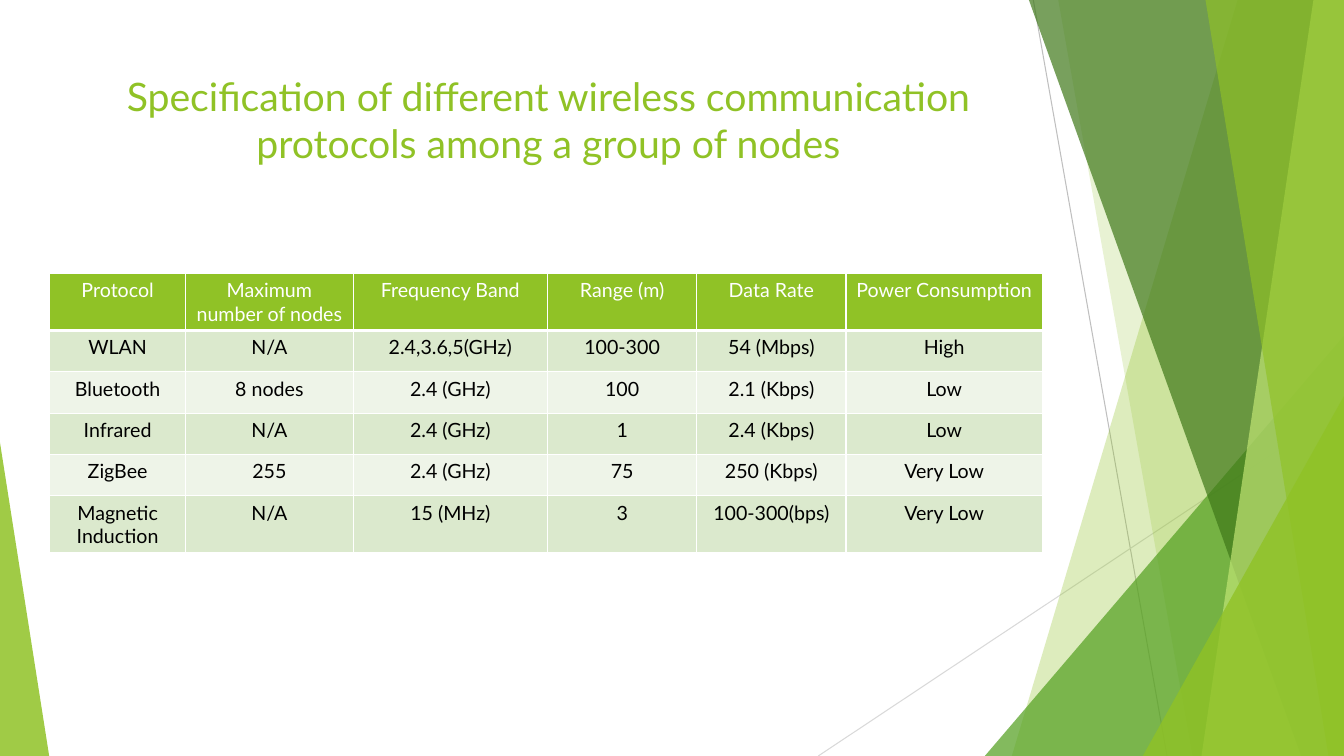
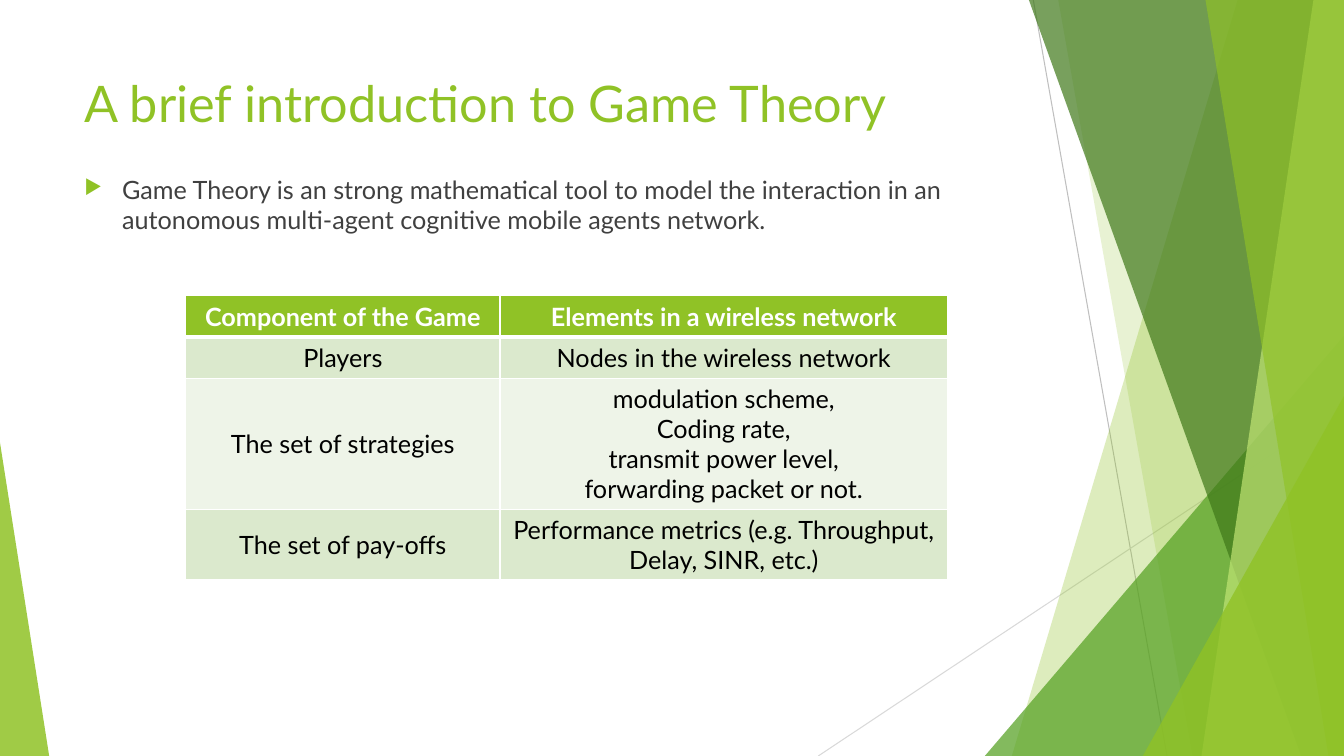
from lxml import etree
from pptx import Presentation
from pptx import util as u
from pptx.dml.color import RGBColor
from pptx.enum import shapes, text
from pptx.oxml.ns import qn

WIDE, HIGH = 33.87, 19.05
LIME, WHITE, BLACK, GREY = "90C226", "FFFFFF", "000000", "404040"
BANDS = ["DBE9CD", "EEF4E8"]
LEFT, CENTER = text.PP_ALIGN.LEFT, text.PP_ALIGN.CENTER
TOP, MIDDLE = text.MSO_ANCHOR.TOP, text.MSO_ANCHOR.MIDDLE


def rgb(code):
    return RGBColor.from_string(code)


def node(parent, tag, **attrs):
    return etree.SubElement(parent, qn(tag), attrs)


class Deck:
    """Holds the style and the current slide."""

    font = "Lato"

    def __init__(self):
        self.prs = Presentation()
        self.prs.slide_width, self.prs.slide_height = u.Cm(WIDE), u.Cm(HIGH)
        self.slide = None

    def page(self):
        self.slide = self.prs.slides.add_slide(self.prs.slide_layouts[6])
        self.line(26.04, 0, 29.41, HIGH, "BFBFBF")
        self.line(WIDE, 10.24, 20.62, HIGH, "D9D9D9")
        self.blade(31.19, 25.5, LIME, 30)
        self.blade(26.67, 30.05, LIME, 20)
        self.wedge(24.82, 8.46, 9.05, 1, "54A021", 72)
        self.blade(25.93, 32.79, "3F7819", 70)
        self.blade(33.1, 30.28, "C0E474", 70)
        self.blade(30.38, 33.48, LIME, 65)
        self.wedge(28.8, 9.98, 5.07, 1, LIME, 80)
        self.wedge(0, 11.15, 1.24, 0, LIME, 85)

    def line(self, x1, y1, x2, y2, color):
        line = self.slide.shapes.add_connector(
            shapes.MSO_CONNECTOR.STRAIGHT, u.Cm(x1), u.Cm(y1), u.Cm(x2), u.Cm(y2))
        line.line.color.rgb = rgb(color)
        line.line.width = u.Pt(0.75)
        node(line.element.spPr, "a:effectLst")

    def paint(self, shape, color, alpha):
        shape.shadow.inherit = False
        shape.fill.solid()
        shape.fill.fore_color.rgb = rgb(color)
        tint = shape.element.spPr.find(".//" + qn("a:srgbClr"))
        node(tint, "a:alpha", val=str(alpha * 1000))
        shape.line.fill.background()

    def blade(self, top, foot, color, alpha):
        pen = self.slide.shapes.build_freeform(u.Cm(top), 0)
        pen.add_line_segments(
            [(u.Cm(x), u.Cm(y)) for x, y in [(WIDE, 0), (WIDE, HIGH), (foot, HIGH)]])
        self.paint(pen.convert_to_shape(), color, alpha)

    def wedge(self, left, top, width, peak, color, alpha):
        shape = self.slide.shapes.add_shape(
            shapes.MSO_SHAPE.ISOSCELES_TRIANGLE,
            u.Cm(left), u.Cm(top), u.Cm(width), u.Cm(HIGH - top))
        shape.adjustments[0] = peak
        self.paint(shape, color, alpha)

    def label(self, frame, words, size, color, align=LEFT, bold=False):
        frame.text = words
        frame.word_wrap = True
        for para in frame.paragraphs:
            para.alignment = align
            for run in para.runs:
                run.font.name, run.font.size = self.font, u.Pt(size)
                run.font.bold = bold
                run.font.color.rgb = rgb(color)

    def box(self, top, height, words, size, color, align=LEFT):
        frame = self.slide.shapes.add_textbox(
            u.Cm(1.88), u.Cm(top), u.Cm(23.88), u.Cm(height)).text_frame
        self.label(frame, words, size, color, align)
        return frame

    def title(self, words, height, size, align=LEFT):
        self.box(1.7, height, words, size, LIME, align)

    def bullet(self, words):
        para = self.box(4.27, 2, words, 18, GREY).paragraphs[0]
        para.space_before = u.Pt(10)
        props = para._p.get_or_add_pPr()
        props.set("marL", str(u.Cm(0.95)))
        props.set("indent", str(-u.Cm(0.95)))
        node(node(props, "a:buClr"), "a:srgbClr", val=LIME)
        node(props, "a:buSzPct", val="80000")
        node(props, "a:buChar", char="▶")

    def edge(self, cell, row):
        props = cell._tc.get_or_add_tcPr()
        heavy = {0: "B", 1: "T"}.get(row)
        for side in "LRTB":
            width = u.Pt(3 if side == heavy else 1)
            rule = node(props, "a:ln" + side, w=str(width))
            node(node(rule, "a:solidFill"), "a:srgbClr", val=WHITE)

    def table(self, left, top, cols, rows, size, anchor=TOP, bold=False):
        tall = 1.04
        grid = self.slide.shapes.add_table(
            len(rows), len(cols), u.Cm(left), u.Cm(top),
            u.Cm(sum(cols)), u.Cm(tall * len(rows))).table
        for col, width in zip(grid.columns, cols):
            col.width = u.Cm(width)
        for i, row in enumerate(rows):
            grid.rows[i].height = u.Cm(tall)
            head = i == 0
            for j, words in enumerate(row):
                cell = grid.cell(i, j)
                self.edge(cell, i)
                cell.fill.solid()
                cell.fill.fore_color.rgb = rgb(LIME if head else BANDS[(i - 1) % 2])
                cell.vertical_anchor = anchor
                self.label(cell.text_frame, words, size,
                           WHITE if head else BLACK, CENTER, head and bold)


def main():
    deck = Deck()

    deck.page()
    deck.title("Specification of different wireless communication "
               "protocols among a group of nodes", 2.92, 28, CENTER)
    deck.table(1.25, 6.89, [3.43, 4.22, 4.9, 3.76, 3.76, 4.95], [
        ["Protocol", "Maximum number of nodes", "Frequency Band",
         "Range (m)", "Data Rate", "Power Consumption"],
        ["WLAN", "N/A", "2.4,3.6,5(GHz)", "100-300", "54 (Mbps)", "High"],
        ["Bluetooth", "8 nodes", "2.4 (GHz)", "100", "2.1 (Kbps)", "Low"],
        ["Infrared", "N/A", "2.4 (GHz)", "1", "2.4 (Kbps)", "Low"],
        ["ZigBee", "255", "2.4 (GHz)", "75", "250 (Kbps)", "Very Low"],
        ["Magnetic Induction", "N/A", "15 (MHz)", "3", "100-300(bps)", "Very Low"],
    ], 14)

    deck.page()
    deck.title("A brief introduction to Game Theory", 2.18, 36)
    deck.bullet("Game Theory is an strong mathematical tool to model the interaction "
                "in an autonomous multi-agent cognitive mobile agents network.")
    deck.table(4.68, 7.45, [7.92, 11.28], [
        ["Component of the Game", "Elements in a wireless network"],
        ["Players", "Nodes in the wireless network"],
        ["The set of strategies", "modulation scheme,\nCoding rate,\n"
         "transmit power level,\nforwarding packet or not."],
        ["The set of pay-offs",
         "Performance metrics (e.g. Throughput, Delay, SINR, etc.)"],
    ], 18, MIDDLE, True)

    deck.prs.save("out.pptx")


if __name__ == "__main__":
    main()
